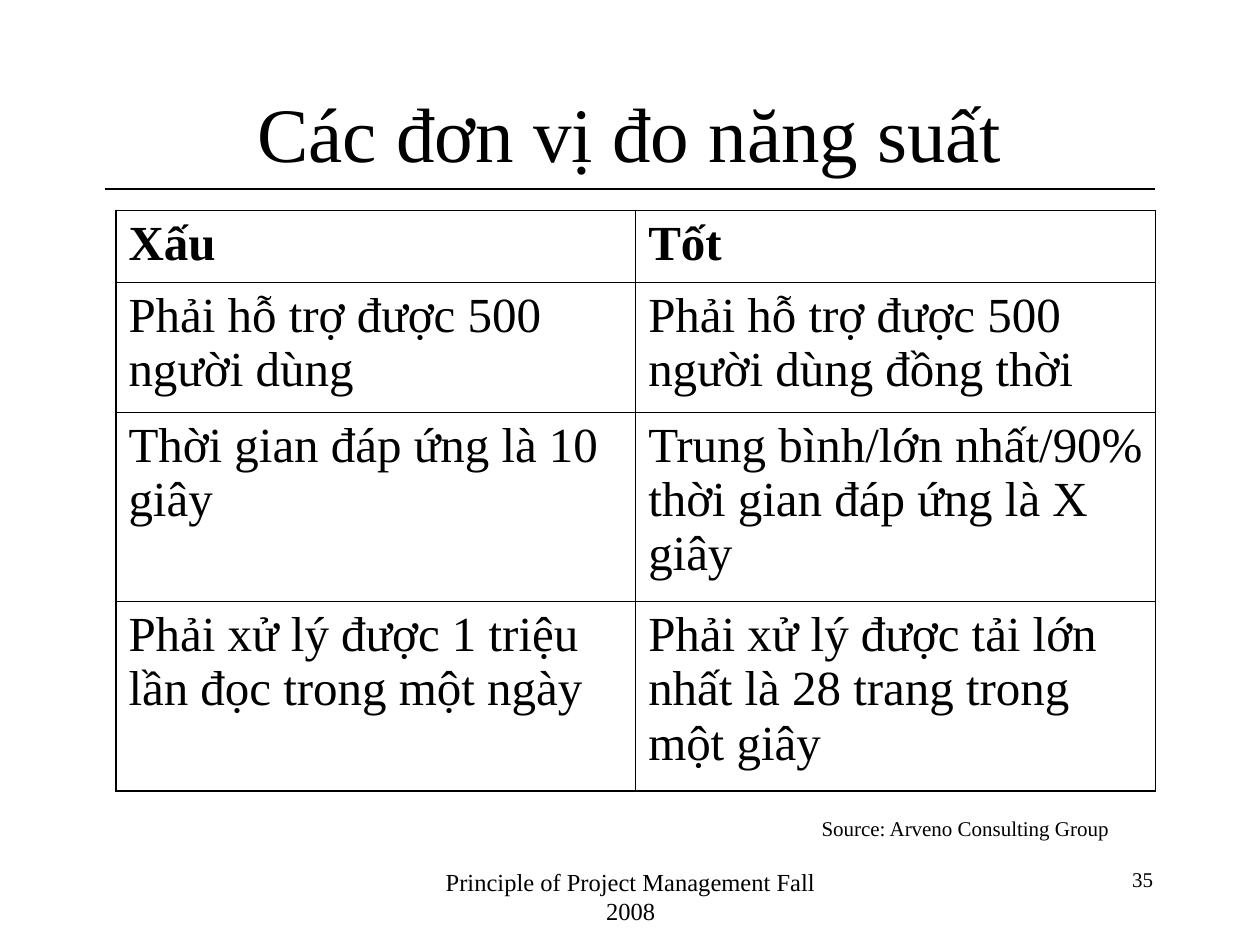
import pptx
import pptx.util
import pptx.dml.color
import pptx.enum.shapes
import pptx.enum.text
import pptx.oxml
import pptx.oxml.ns
import lxml.etree

Inches = pptx.util.Inches
Pt = pptx.util.Pt
ALIGN = pptx.enum.text.PP_ALIGN
INK = "000000"
THIN, THICK = 0.45, 1.08


def color(hex_code):
    return pptx.dml.color.RGBColor.from_string(hex_code)


def write(frame, text, size, align=ALIGN.LEFT, bold=False, before=0):
    frame.text = text
    frame.word_wrap = True
    paragraph = frame.paragraphs[0]
    paragraph.alignment = align
    paragraph.space_before = Pt(before)
    font = paragraph.runs[0].font
    font.name = "Times New Roman"
    font.size = Pt(size)
    font.bold = bold
    font.color.rgb = color(INK)
    return paragraph


deck = pptx.Presentation()
deck.slide_width = Inches(10)
deck.slide_height = Inches(7.5)
slide = deck.slides.add_slide(deck.slide_layouts[1])

rule = slide.shapes.add_connector(
    pptx.enum.shapes.MSO_CONNECTOR.STRAIGHT,
    Inches(0.83), Inches(1.5), Inches(9.17), Inches(1.5))
rule.line.color.rgb = color(INK)
rule.line.width = Pt(0.75)
lxml.etree.SubElement(rule._element.spPr, pptx.oxml.ns.qn("a:effectLst"))

title = slide.shapes.title
title.left, title.top = Inches(0.75), Inches(0.42)
title.width, title.height = Inches(8.5), Inches(1.25)
write(title.text_frame, "Các đơn vị đo năng suất", 44, ALIGN.CENTER)
title.text_frame.vertical_anchor = pptx.enum.text.MSO_ANCHOR.MIDDLE
title.text_frame.auto_size = pptx.enum.text.MSO_AUTO_SIZE.NONE

source = slide.placeholders[1]
source.left, source.top = Inches(6.42), Inches(6.42)
source.width, source.height = Inches(3.33), Inches(0.33)
credit = write(source.text_frame, "Source: Arveno Consulting Group", 12, before=3)
source.text_frame.auto_size = pptx.enum.text.MSO_AUTO_SIZE.NONE
credit_format = credit._p.get_or_add_pPr()
credit_format.set("marL", str(Inches(0.38)))
credit_format.set("indent", str(Inches(-0.38)))
lxml.etree.SubElement(credit_format, pptx.oxml.ns.qn("a:buNone"))

for text, left, width, size, align in [
    ("Principle of Project Management Fall 2008", 3.42, 3.17, 14, ALIGN.CENTER),
    ("35", 7.17, 2.08, 12, ALIGN.RIGHT),
]:
    footer = slide.shapes.add_textbox(
        Inches(left), Inches(6.83), Inches(width), Inches(0.5))
    write(footer.text_frame, text, size, align)

requirements = [
    ("Xấu", "Tốt"),
    ("Phải hỗ trợ được 500 người dùng",
     "Phải hỗ trợ được 500 người dùng đồng thời"),
    ("Thời gian đáp ứng là 10 giây",
     "Trung bình/lớn nhất/90% thời gian đáp ứng là X giây"),
    ("Phải xử lý được 1 triệu lần đọc trong một ngày",
     "Phải xử lý được tải lớn nhất là 28 trang trong một giây"),
]
row_heights = [0.57, 1.03, 1.5, 1.5]
last_row = len(requirements) - 1

comparison = slide.shapes.add_table(
    len(requirements), 2, Inches(0.92), Inches(1.67),
    Inches(8.25), Inches(sum(row_heights))).table
comparison.horz_banding = False

for row, (pair, height) in enumerate(zip(requirements, row_heights)):
    comparison.rows[row].height = Inches(height)
    for column, text in enumerate(pair):
        cell = comparison.cell(row, column)
        cell.fill.background()
        write(cell.text_frame, text, 28, bold=row == 0, before=7)
        outer_edges = [("lnL", column == 0), ("lnR", column == 1),
                       ("lnT", row == 0), ("lnB", row == last_row)]
        for position, (side, outer) in enumerate(outer_edges):
            width = Pt(THICK if outer else THIN)
            border = pptx.oxml.parse_xml(
                f'<a:{side} {pptx.oxml.ns.nsdecls("a")} w="{width}">'
                f'<a:solidFill><a:srgbClr val="{INK}"/></a:solidFill></a:{side}>')
            cell._tc.get_or_add_tcPr().insert(position, border)

deck.save("out.pptx")
